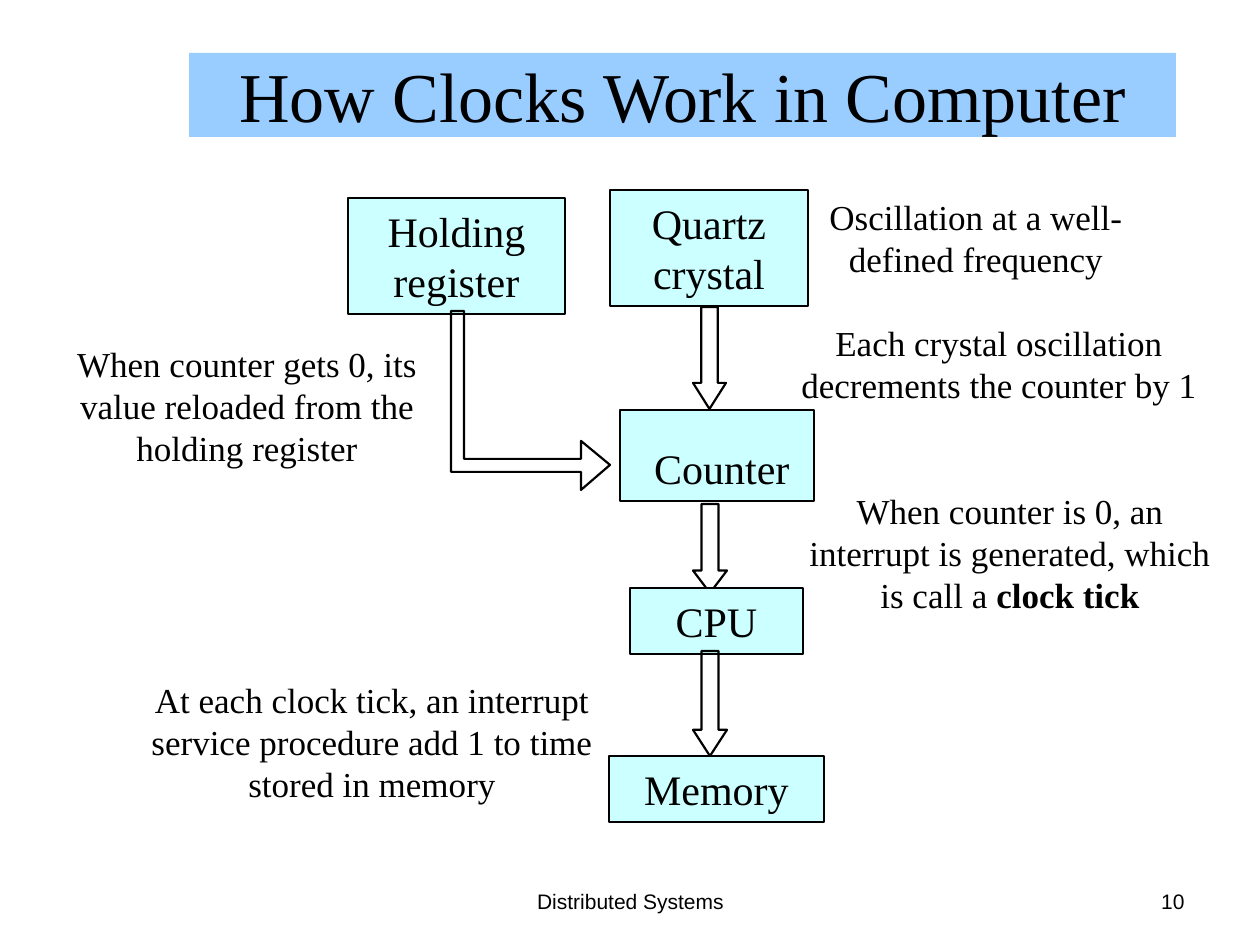
from pptx import Presentation
from pptx.dml.color import RGBColor
from pptx.enum.shapes import MSO_SHAPE
from pptx.enum.text import MSO_ANCHOR, MSO_AUTO_SIZE, PP_ALIGN
from pptx.util import Emu, Pt

RECT, DOWN = MSO_SHAPE.RECTANGLE, MSO_SHAPE.DOWN_ARROW
CENTER, RIGHT = PP_ALIGN.CENTER, PP_ALIGN.RIGHT
MIDDLE, NO_FIT = MSO_ANCHOR.MIDDLE, MSO_AUTO_SIZE.NONE
SCALE = 914400 / 126
SERIF, SANS = "Times New Roman", "Arial"
BLACK, BLUE, CYAN = "000000", "99CCFF", "CCFFFF"


def px(n):
    return Emu(round(n * SCALE))


def color(value):
    return RGBColor.from_string(value)


def set_all(obj, values):
    for name, value in values.items():
        setattr(obj, name, value)


def write(sp, runs, size, font=SERIF, align=CENTER):
    tf = sp.text_frame
    set_all(tf, {"word_wrap": True, "auto_size": NO_FIT, "vertical_anchor": MIDDLE})
    p = tf.paragraphs[0]
    p.alignment = align
    for text, bold in runs:
        r = p.add_run()
        r.text = text
        set_all(r.font, {"name": font, "size": Pt(size), "bold": bold})
        r.font.color.rgb = color(BLACK)
    return tf


def outline(sp, fill=None):
    sp.shadow.inherit = False
    sp.line.color.rgb = color(BLACK)
    sp.line.width = Pt(1.25)
    if fill:
        sp.fill.solid()
        sp.fill.fore_color.rgb = color(fill)
    else:
        sp.fill.background()


def add_title(s, at, text):
    sp = s.shapes.title
    set_all(sp, dict(zip(("left", "top", "width", "height"), map(px, at))))
    sp.fill.solid()
    sp.fill.fore_color.rgb = color(BLUE)
    write(sp, [(text, False)], 40)


def add_box(s, at, text):
    sp = s.shapes.add_shape(RECT, *map(px, at))
    outline(sp, CYAN)
    return write(sp, [(text, False)], 24)


def add_down_arrow(s, at, head):
    sp = s.shapes.add_shape(DOWN, *map(px, at))
    sp.adjustments[1] = head
    outline(sp)


def add_elbow_arrow(s, points):
    fb = s.shapes.build_freeform(*points[0], scale=SCALE)
    fb.add_line_segments(points[1:], close=True)
    outline(fb.convert_to_shape())


def add_text(s, at, *runs, size=20, font=SERIF, align=CENTER):
    write(s.shapes.add_textbox(*map(px, at)), runs, size, font, align)


def main():
    prs = Presentation()
    set_all(prs, {"slide_width": px(1260), "slide_height": px(945)})
    s = prs.slides.add_slide(prs.slide_layouts[5])

    add_text(s, (431, 876, 399, 50), ("Distributed Systems", False), size=12, font=SANS)
    add_text(s, (903, 876, 294, 50), ("10", False), size=12, font=SANS, align=RIGHT)
    add_title(s, (189, 53, 987, 84), "How Clocks Work in Computer")

    add_box(s, (610, 190, 198, 116), "Quartz crystal")
    tf = add_box(s, (620, 410, 194, 91), "Counter")
    tf.margin_left = px(22)
    tf.paragraphs[0].line_spacing = 1.5
    add_box(s, (348, 198, 217, 116), "Holding register")

    add_down_arrow(s, (693, 307, 33, 102), 0.79)
    add_elbow_arrow(s, [(610, 465), (581, 441), (581, 459), (464, 459), (464, 311),
                        (451, 311), (451, 472), (581, 472), (581, 490)])
    add_text(s, (760, 315, 478, 97),
             ("Each crystal oscillation decrements the counter by 1", False))
    add_text(s, (42, 336, 410, 139),
             ("When counter gets 0, its value reloaded from the holding register", False))

    add_down_arrow(s, (693, 504, 34, 89), 0.66)
    add_box(s, (630, 588, 173, 66), "CPU")
    add_text(s, (788, 483, 444, 139),
             ("When counter is 0, an interrupt is generated, which is call a ", False),
             ("clock tick", True))
    add_text(s, (116, 672, 512, 139),
             ("At each clock tick, an interrupt service procedure add 1 to time "
              "stored in memory", False))
    add_box(s, (609, 756, 215, 66), "Memory")
    add_down_arrow(s, (693, 651, 34, 105), 0.77)
    add_text(s, (794, 189, 364, 97), ("Oscillation at a well-defined frequency", False))

    prs.save("out.pptx")


if __name__ == "__main__":
    main()
